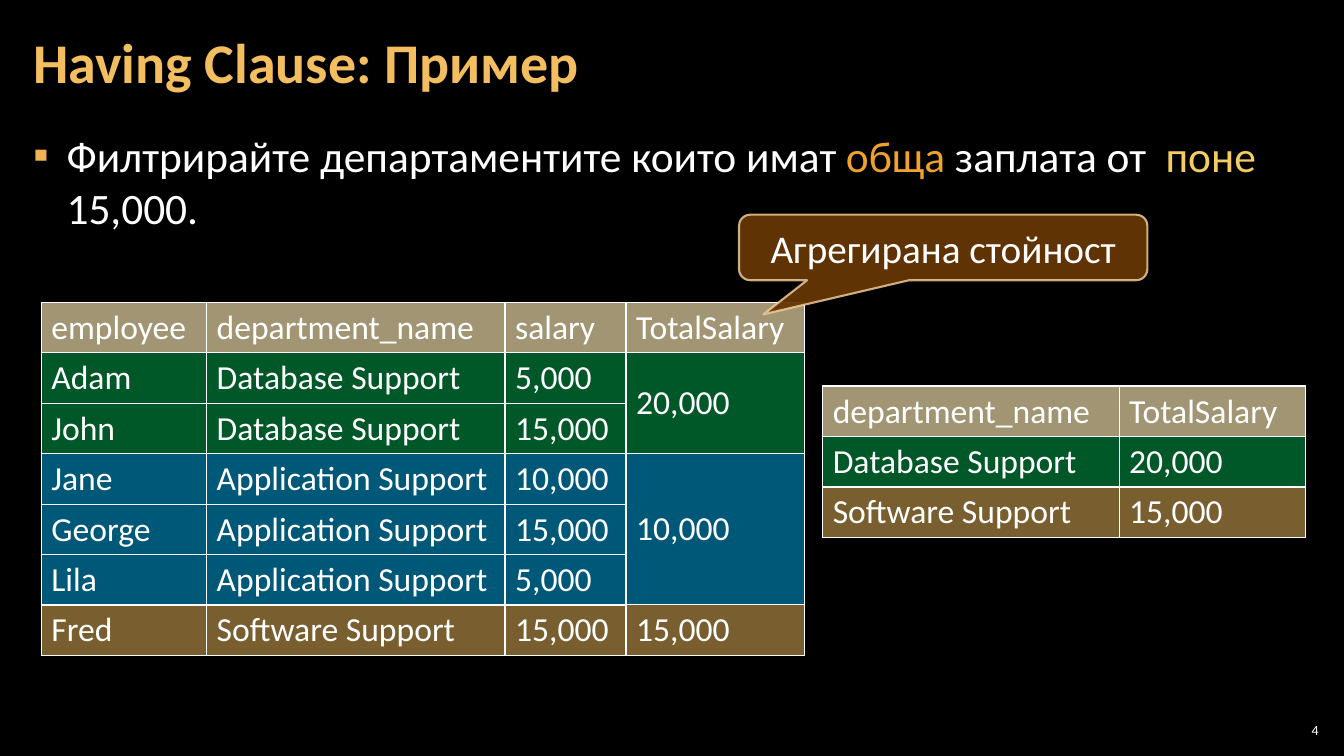
"""Build a slide that explains the SQL HAVING clause with salary tables."""
import dataclasses

import lxml.etree
import pptx
import pptx.dml.color
import pptx.enum.shapes
import pptx.enum.text
import pptx.oxml.ns
import pptx.util

ALIGN = pptx.enum.text.PP_ALIGN
ANCHOR = pptx.enum.text.MSO_ANCHOR


@dataclasses.dataclass(frozen=True)
class Theme:
    """Colours, type sizes and the grid step of the slide."""

    font: str = "Calibri"
    background: str = "000000"
    text: str = "FFFFFF"
    gold: str = "F3BE60"
    bullet: str = "F2B254"
    orange: str = "F0A22E"
    yellow: str = "F3CD60"
    header: str = "A19574"
    database: str = "00B050"
    application: str = "00B0F0"
    callout: str = "663606"
    callout_line: str = "F8D49E"
    title_size: int = 40
    body_size: int = 31
    callout_size: int = 28
    table_size: int = 24
    number_size: int = 10
    step: float = 0.5


THEME = Theme()


def grid(*counts):
    """Convert numbers of grid steps to lengths."""
    return [pptx.util.Inches(count * THEME.step) for count in counts]


def rgb(colour):
    """Return a colour object for a hex string."""
    return pptx.dml.color.RGBColor.from_string(colour)


def add_xml(parent, tag, **attributes):
    """Append a DrawingML element to a parent."""
    element = lxml.etree.SubElement(parent, pptx.oxml.ns.qn(tag))
    for name, value in attributes.items():
        element.set(name, str(value))
    return element


def set_opacity(fill_element, percent):
    """Make a solid fill element partly transparent."""
    add_xml(fill_element[0], "a:alpha", val=percent * 1000)


def write_text(frame, runs, size, colour=THEME.text, bold=False, align=ALIGN.LEFT,
               anchor=ANCHOR.TOP, insets=(0.2, 0.1, 0.2, 0.1), line_spacing=None):
    """Write a string or (text, colour) runs as one formatted paragraph."""
    frame.word_wrap = True
    frame.vertical_anchor = anchor
    (frame.margin_left, frame.margin_top,
     frame.margin_right, frame.margin_bottom) = grid(*insets)
    paragraph = frame.paragraphs[0]
    paragraph.alignment = align
    paragraph.line_spacing = line_spacing
    for text, run_colour in [(runs, colour)] if isinstance(runs, str) else runs:
        run = paragraph.add_run()
        run.text = text
        run.font.name = THEME.font
        run.font.size = pptx.util.Pt(size)
        run.font.bold = bold
        run.font.color.rgb = rgb(run_colour)
    return paragraph


def add_text(slide, box, runs, size, **text_format):
    """Add a text box placed in grid steps."""
    shape = slide.shapes.add_textbox(*grid(*box))
    return write_text(shape.text_frame, runs, size, **text_format)


def add_bullet(paragraph, indent):
    """Give a paragraph a square bullet and a hanging indent."""
    paragraph.space_before = paragraph.space_after = pptx.util.Pt(6)
    properties = paragraph._p.get_or_add_pPr()
    [length] = grid(indent)
    properties.set("marL", str(length))
    properties.set("indent", str(-length))
    add_xml(add_xml(properties, "a:buClr"), "a:srgbClr", val=THEME.bullet)
    add_xml(properties, "a:buFont", typeface=THEME.font)
    add_xml(properties, "a:buChar", char="▪")


def style_cell(cell, text, colour, anchor):
    """Set the text, borders and fill of a table cell."""
    write_text(cell.text_frame, text, THEME.table_size)
    cell.vertical_anchor = anchor
    properties = cell._tc.get_or_add_tcPr()
    for side in "LRTB":
        line = add_xml(properties, f"a:ln{side}", w=pptx.util.Pt(1))
        add_xml(add_xml(line, "a:solidFill"), "a:srgbClr", val=THEME.text)
    cell.fill.solid()
    cell.fill.fore_color.rgb = rgb(colour)
    if colour != THEME.header:
        set_opacity(properties.find(pptx.oxml.ns.qn("a:solidFill")), 50)


def add_salary_table(slide, left, top, widths, rows, heights=None):
    """Add a table whose rows are (colour, texts) pairs."""
    heights = heights or [1] * len(rows)
    box = grid(left, top, sum(widths), sum(heights))
    table = slide.shapes.add_table(len(rows), len(widths), *box).table
    table.first_row = table.horz_banding = False
    for column, width in zip(table.columns, grid(*widths)):
        column.width = width
    for row, height, (colour, texts), steps in zip(table.rows, grid(*heights), rows, heights):
        row.height = height
        for cell, text in zip(row.cells, texts):
            style_cell(cell, text, colour, ANCHOR.MIDDLE if steps > 1 else ANCHOR.TOP)


def add_callout(slide, box, text, adjustments):
    """Add a rounded speech callout."""
    kind = pptx.enum.shapes.MSO_SHAPE.ROUNDED_RECTANGULAR_CALLOUT
    shape = slide.shapes.add_shape(kind, *grid(*box))
    shape.shadow.inherit = False
    for index, value in enumerate(adjustments):
        shape.adjustments[index] = value
    shape.fill.solid()
    shape.fill.fore_color.rgb = rgb(THEME.callout)
    shape.line.color.rgb = rgb(THEME.callout_line)
    shape.line.width = pptx.util.Pt(1.5)
    fills = shape.element.spPr.iter(pptx.oxml.ns.qn("a:solidFill"))
    for fill_element, percent in zip(fills, (95, 80)):
        set_opacity(fill_element, percent)
    write_text(shape.text_frame, text, THEME.callout_size,
               align=ALIGN.CENTER, anchor=ANCHOR.MIDDLE)


def main():
    """Build and save the slide."""
    presentation = pptx.Presentation()
    presentation.slide_width, presentation.slide_height = grid(26.66, 15)
    slide = presentation.slides.add_slide(presentation.slide_layouts[6])
    slide.background.fill.solid()
    slide.background.fill.fore_color.rgb = rgb(THEME.background)

    add_text(slide, (0.42, 0.08, 20.94, 2.42), "Having Clause: Пример", THEME.title_size,
             colour=THEME.gold, bold=True, anchor=ANCHOR.MIDDLE,
             insets=(0.24, 0.08, 0.24, 0.08), line_spacing=0.9)
    task = add_text(slide, (0.42, 2.48, 25.82, 12.18), [
        ("Филтрирайте департаментите които имат ", THEME.text),
        ("обща ", THEME.orange),
        ("заплата от  ", THEME.text),
        ("поне ", THEME.yellow),
        ("15,000.", THEME.text),
    ], THEME.body_size, insets=(0.24, 0.08, 0.24, 0.08))
    add_bullet(task, 0.66)

    departments = {
        "Database Support": (THEME.database, "20,000"),
        "Application Support": (THEME.application, "10,000"),
        "Software Support": (THEME.gold, "15,000"),
    }
    employees = [
        ("Adam", "Database Support", "5,000"),
        ("John", "Database Support", "15,000"),
        ("Jane", "Application Support", "10,000"),
        ("George", "Application Support", "15,000"),
        ("Lila", "Application Support", "5,000"),
        ("Fred", "Software Support", "15,000"),
    ]
    left, top, widths = 0.82, 6, (3.28, 5.92, 2.4)
    add_salary_table(slide, left, top, widths,
                     [(THEME.header, ("employee", "department_name", "salary"))]
                     + [(departments[entry[1]][0], entry) for entry in employees])
    add_salary_table(slide, left + sum(widths), top, (3.54,),
                     [(THEME.header, ("TotalSalary",))]
                     + [(colour, (total,)) for colour, total in departments.values()],
                     heights=(1, 2, 3, 1))
    add_salary_table(slide, 16.32, 7.66, (5.88, 3.7),
                     [(THEME.header, ("department_name", "TotalSalary"))]
                     + [(departments[name][0], (name, departments[name][1]))
                        for name in ("Database Support", "Software Support")])

    add_callout(slide, (14.66, 4.26, 8.1, 1.3), "Агрегирана стойност", (-0.44, 1.02, 0.17))
    add_text(slide, (25.3, 14.28, 0.94, 0.42), "4", THEME.number_size,
             align=ALIGN.RIGHT, anchor=ANCHOR.MIDDLE, insets=(0.08,) * 4)
    presentation.save("out.pptx")


if __name__ == "__main__":
    main()
